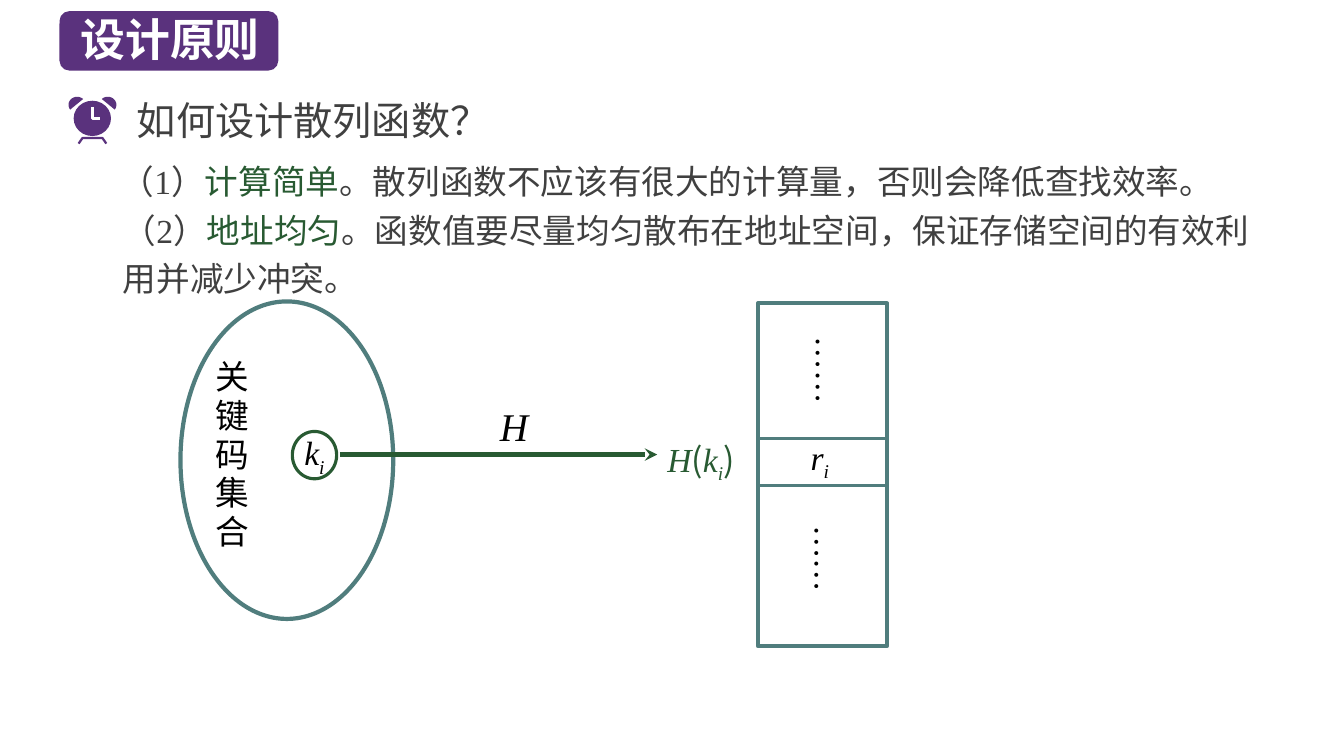
from math import cos, sin, radians
from pptx import Presentation
from pptx.dml.color import RGBColor
from pptx.enum.shapes import MSO_CONNECTOR, MSO_SHAPE
from pptx.enum.text import MSO_ANCHOR, PP_ALIGN
from pptx.oxml.ns import qn
from pptx.util import Inches, Pt
from lxml.etree import SubElement

PURPLE, TEAL, GREEN = "5A327D", "507D7D", "285A32"
GRAY, BLACK, WHITE = "404040", "000000", "FFFFFF"
SANS, SERIF = "Noto Sans CJK SC", "Times New Roman"

deck = Presentation()
deck.slide_width, deck.slide_height = Inches(13.33), Inches(7.5)
slide = deck.slides.add_slide(deck.slide_layouts[6])
shapes = slide.shapes
# All places are percentages of the slide's width and height
col, row = deck.slide_width / 100, deck.slide_height / 100


def place(x, y, *size):
    """Turn shares of the slide into lengths."""
    return [round(n * unit) for n, unit in zip((x, y, *size), (col, row) * 2)]


def write(box, parts, size, color, face, italic=False, align=None,
          space=None, pad=None, shade=False):
    """Fill one paragraph; a part is (text, changes to its run)."""
    frame = box.text_frame
    frame.word_wrap = True
    if pad is not None:
        frame.margin_left = frame.margin_right = Inches(pad)
        frame.margin_top = frame.margin_bottom = 0
    para = frame.paragraphs[0]
    para.alignment, para.line_spacing = align, space
    font = para.font
    font.size, font.name, font.italic = Pt(size), face, italic
    SubElement(font._element, qn("a:ea"), typeface=SANS)
    for text, change in parts:
        run = para.add_run()
        run.text = text
        run.font.color.rgb = RGBColor.from_string(change.get("color", color))
        mark = run.font._element
        if shade:
            glow = SubElement(SubElement(mark, qn("a:effectLst")), qn("a:outerShdw"),
                              blurRad="38100", dist="38100", dir="2700000")
            tint = SubElement(glow, qn("a:srgbClr"), val="C0C0C0")
            SubElement(tint, qn("a:alpha"), val="50000")
        if "face" in change:
            run.font.name, run.font.italic = change["face"], False
        if "base" in change:
            mark.set("baseline", str(change["base"] * 1000))
    return frame


# Plain shapes: kind, place, fill, line, line width
forms = []
for kind, spot, fill, line, width in [
    (MSO_SHAPE.ROUNDED_RECTANGLE, (4.43, 1.47, 16.28, 7.87), PURPLE, None, 0),
    (MSO_SHAPE.OVAL, (13.43, 39.87, 15.83, 42), None, TEAL, 3),
    (MSO_SHAPE.RECTANGLE, (56.4, 40.13, 9.6, 45.33), None, TEAL, 3),
    (MSO_SHAPE.OVAL, (21.75, 57.07, 3.3, 6.27), None, GREEN, 2.25),
    (MSO_SHAPE.OVAL, (5.48, 13.33, 2.78, 4.67), PURPLE, None, 0),
]:
    form = shapes.add_shape(kind, *place(*spot))
    form.shadow.inherit = False
    if fill:
        form.fill.solid()
        form.fill.fore_color.rgb = RGBColor.from_string(fill)
    else:
        form.fill.background()
    if line:
        form.line.color.rgb = RGBColor.from_string(line)
        form.line.width = Pt(width)
    else:
        form.line.fill.background()
    forms.append(form)
key = forms[3]

# Alarm clock: two bells, feet and hands around the face
mid = 6.88
bells = [[(mid + side * (0.64 * cos(radians(a)) - 1.14), 13.87 + 1.07 * sin(radians(a)))
          for a in range(144, 324, 10)] for side in (1, -1)]
feet = [(mid + x, y) for x, y in
        [(-1.03, 19), (-0.75, 18.27), (0.75, 18.27), (1.03, 19)]]
hands = [(mid, 14.13), (mid, 15.67), (mid + 0.55, 15.67)]
for dots, solid, color in [(bells[0], True, PURPLE), (bells[1], True, PURPLE),
                           (feet, False, PURPLE), (hands, False, WHITE)]:
    dots = [place(*dot) for dot in dots]
    path = shapes.build_freeform(*dots[0])
    path.add_line_segments(dots[1:], close=solid)
    form = path.convert_to_shape()
    form.shadow.inherit = False
    if solid:
        form.fill.solid()
        form.fill.fore_color.rgb = RGBColor.from_string(color)
        form.line.fill.background()
    else:
        form.fill.background()
        form.line.color.rgb = RGBColor.from_string(color)
        form.line.width = Pt(1.6)

# Row borders and the mapping arrow
for left, right, y, color, width in [(56.4, 66, 58, TEAL, 2.25),
                                     (56.4, 66, 64.27, TEAL, 2.25),
                                     (25.28, 48.9, 60.13, GREEN, 3)]:
    rule = shapes.add_connector(MSO_CONNECTOR.STRAIGHT, *place(left, y, right, y))
    rule.line.color.rgb = RGBColor.from_string(color)
    rule.line.width = Pt(width)
    SubElement(rule._element.spPr, qn("a:effectLst"))
SubElement(rule.line._get_or_add_ln(), qn("a:tailEnd"), type="stealth")

# Texts
sub, flat = {"base": -25}, {"face": SANS}
just, mid_line = PP_ALIGN.JUSTIFY, PP_ALIGN.CENTER
tight = {"space": 0.96, "pad": 0.02}
body = {"space": 1.2, "shade": True}
for spot, parts, size, color, face, look in [
    ((9.45, 12.13, 74.33, 7.6), [("如何设计散列函数？", {})], 28, GRAY, SANS, {}),
    ((8.25, 19.6, 86.48, 7.2),
     [("（1）", {}), ("计算简单", {"color": GREEN}),
      ("。散列函数不应该有很大的计算量，否则会降低查找效率。", {})],
     24, GRAY, SERIF, body),
    ((8.4, 26, 86.48, 13.73),
     [("（2）", {}), ("地址均匀", {"color": GREEN}),
      ("。函数值要尽量均匀散布在地址空间，保证存储空间的有效利用并减少冲突。", {})],
     24, GRAY, SERIF, body),
    ((15.9, 47.47, 2.55, 25.6), [("关键码集合", {})], 24, BLACK, SANS,
     {"align": just, **tight}),
    ((49.5, 58, 6.08, 3.73),
     [("H", {}), ("(", flat), ("k", {}), ("i", sub), (")", flat)],
     24, GREEN, SERIF, {"italic": True, "align": just, **tight}),
    ((37.05, 53.6, 5.55, 4.93), [("H", {})], 28, BLACK, SERIF,
     {"italic": True, **tight}),
    ((56.4, 57.8, 9.2, 5.1), [("r", {}), ("i", sub)], 24, BLACK, SERIF,
     {"italic": True, "align": mid_line, "pad": 0}),
]:
    write(shapes.add_textbox(*place(*spot)), parts, size, color, face, **look)

title = write(shapes.add_textbox(*place(5.25, 0.93, 16.13, 8.53)),
              [("设计原则", {})], 32, WHITE, SANS)
title.paragraphs[0].font.bold = True

label = write(key, [("k", {}), ("i", sub)], 24, BLACK, SERIF,
              italic=True, align=mid_line, pad=0)
label.word_wrap = False
label.vertical_anchor = MSO_ANCHOR.MIDDLE

for x, y in [(60.4, 44), (60.3, 68.93)]:
    gap = write(shapes.add_textbox(*place(x, y, 2.78, 12)), [("……", {})],
                24, BLACK, SERIF, align=just, **tight)
    gap.margin_top = Inches(0.04)
    gap._txBody.bodyPr.set("vert", "eaVert")

deck.save("out.pptx")
